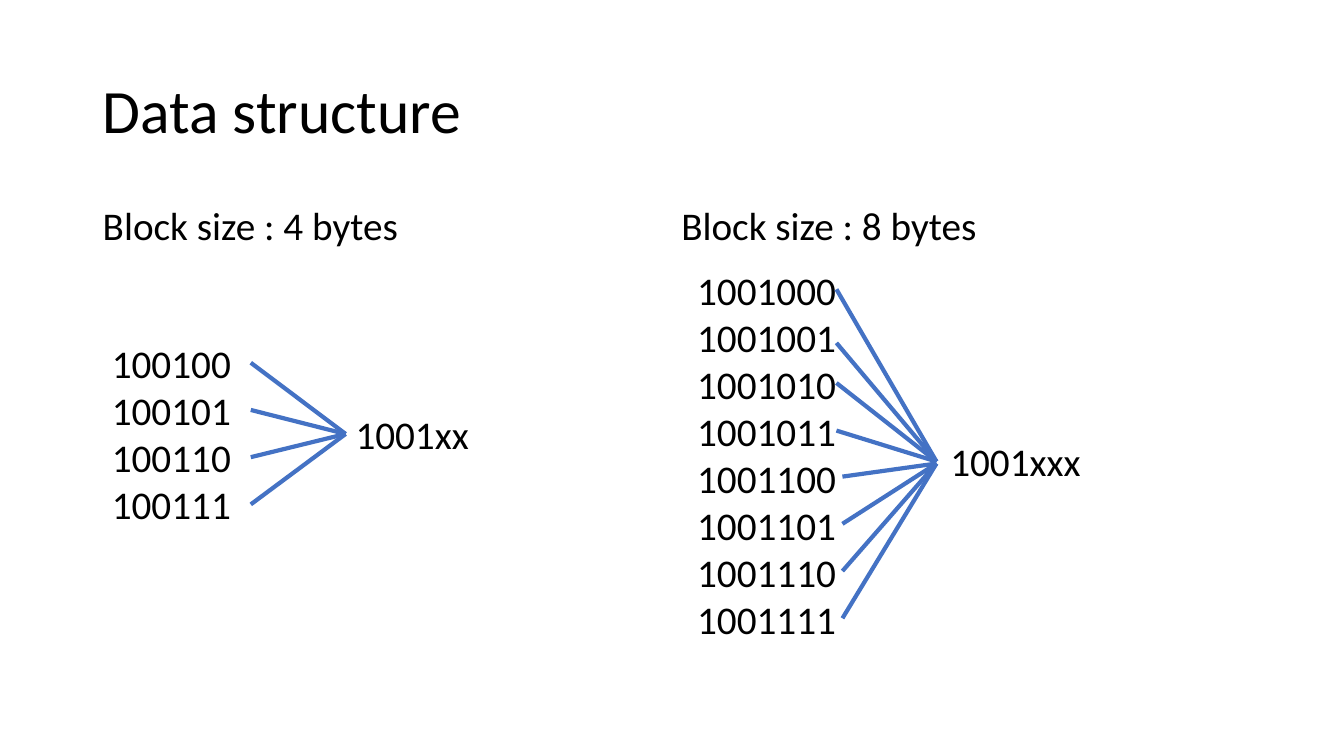
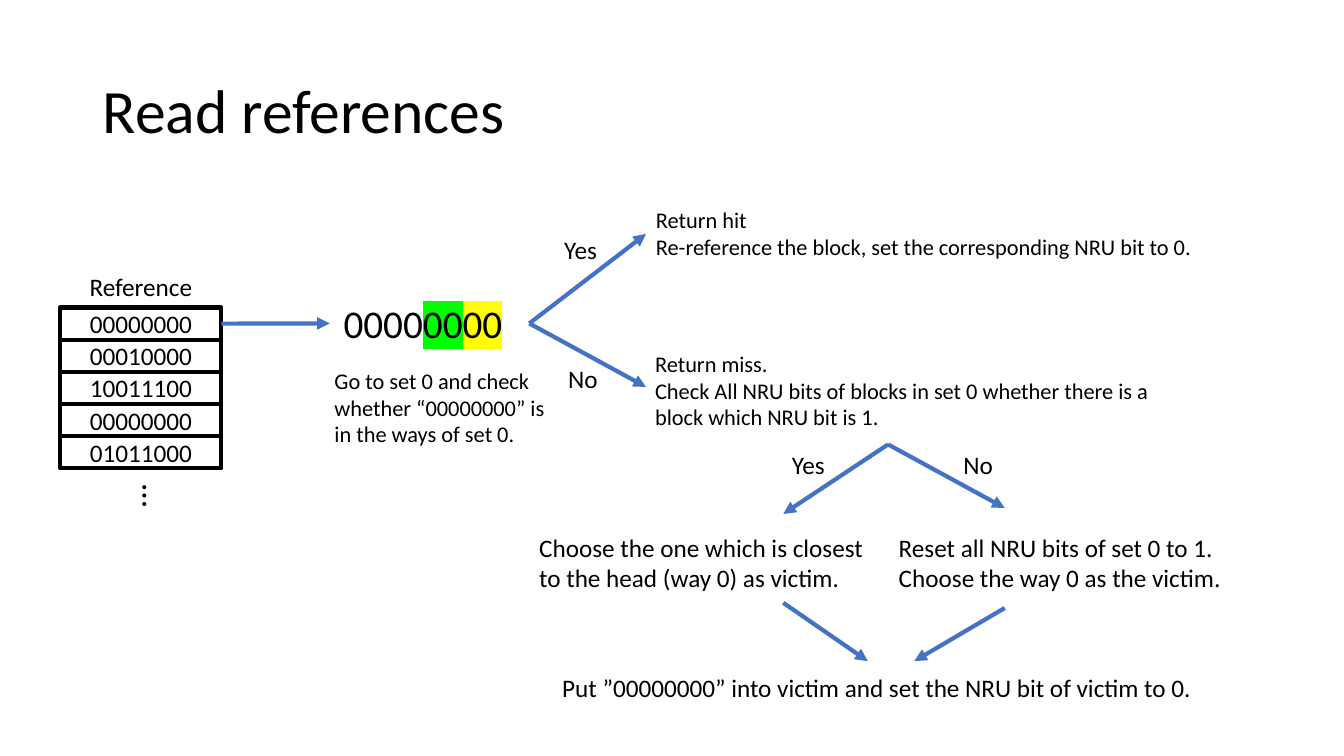
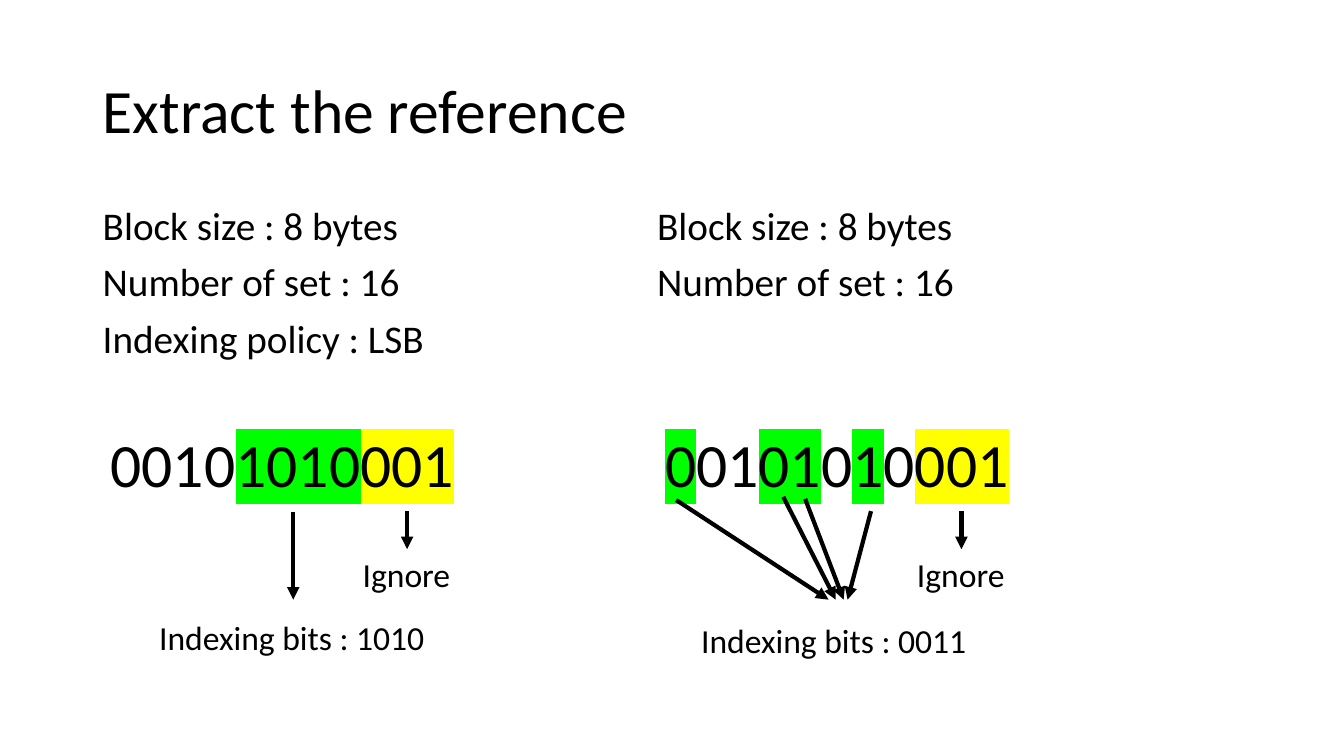
from lxml.etree import SubElement
from pptx import Presentation
from pptx.dml.color import RGBColor
from pptx.enum.shapes import MSO_CONNECTOR, MSO_SHAPE
from pptx.enum.text import MSO_ANCHOR, MSO_AUTO_SIZE, PP_ALIGN
from pptx.oxml.ns import qn
from pptx.util import Cm, Pt

THEME = {
    "font": "Calibri", "ink": "000000", "accent": "4472C4",
    "index": "00FF00", "ignore": "FFFF00",
    "title": 44, "body": 28, "caption": 24, "label": 18, "note": 16,
    "line": 3,
}
TITLE_BOX = (2.34, 1.02, 29.21, 3.68)
BODY_FORMAT = {"line_spacing": 0.9, "space_before": Pt(10)}


def write(slide, box, lines, size, wrap=False, outlined=False,
          anchor=MSO_ANCHOR.TOP, **paragraph_format):
    """Write lines in a box; a line is a string or a list of (text, highlight)."""
    area = [Cm(length) for length in box]
    if outlined:
        holder = slide.shapes.add_shape(MSO_SHAPE.RECTANGLE, *area)
        holder.shadow.inherit = False
        holder.fill.background()
        holder.line.color.rgb = RGBColor.from_string(THEME["ink"])
        holder.line.width = Pt(THEME["line"])
    else:
        holder = slide.shapes.add_textbox(*area)
    frame = holder.text_frame
    fit = MSO_AUTO_SIZE.NONE if wrap or outlined else MSO_AUTO_SIZE.SHAPE_TO_FIT_TEXT
    frame_format = {"word_wrap": wrap, "auto_size": fit, "vertical_anchor": anchor}
    for name, value in frame_format.items():
        setattr(frame, name, value)

    for number, line in enumerate(lines):
        paragraph = frame.paragraphs[0] if number == 0 else frame.add_paragraph()
        for name, value in paragraph_format.items():
            setattr(paragraph, name, value)
        for text, highlight in [(line, None)] if isinstance(line, str) else line:
            run = paragraph.add_run()
            run.text = text
            for name, value in {"name": THEME["font"], "size": Pt(THEME[size])}.items():
                setattr(run.font, name, value)
            run.font.color.rgb = RGBColor.from_string(THEME["ink"])
            if highlight:
                properties = run.font._element
                mark = SubElement(properties, qn("a:highlight"))
                SubElement(mark, qn("a:srgbClr"), val=THEME[highlight])
                properties.find(qn("a:solidFill")).addnext(mark)
    return holder


def link(slide, start, end, color="accent", arrow=True):
    """Draw a straight line from start to end, with an arrowhead if asked."""
    points = [Cm(length) for length in (*start, *end)]
    connector = slide.shapes.add_connector(MSO_CONNECTOR.STRAIGHT, *points)
    connector.line.color.rgb = RGBColor.from_string(THEME[color])
    connector.line.width = Pt(THEME["line"])
    if arrow:
        SubElement(connector.line._get_or_add_ln(), qn("a:tailEnd"), type="triangle")
    SubElement(connector._element.spPr, qn("a:effectLst"))
    return connector


deck = Presentation()
deck.slide_width, deck.slide_height = Cm(33.87), Cm(19.05)

# Slides with their shared title style
structure, reading, extraction = [
    deck.slides.add_slide(deck.slide_layouts[6]) for _ in range(3)
]
titles = {
    "Data structure": structure,
    "Read references": reading,
    "Extract the reference": extraction,
}
for title, slide in titles.items():
    write(slide, TITLE_BOX, [title], "title", wrap=True,
          anchor=MSO_ANCHOR.MIDDLE, line_spacing=0.9)

# Data structure: block sizes
for left, size in [(2.34, 4), (16.92, 8)]:
    write(structure, (left, 5.08, 10.8, 1.6), [f"Block size : {size} bytes"],
          "body", wrap=True, **BODY_FORMAT)

# Data structure: addresses that share one block
write(structure, (2.57, 8.43, 3.56, 5.05),
      [f"1001{offset:02b}" for offset in range(4)], "body")
write(structure, (17.32, 6.58, 4.06, 9.83),
      [f"1001{offset:03b}" for offset in range(8)], "body")
small_block = write(structure, (8.71, 10.21, 3.4, 1.45), ["1001xx"], "body")
write(structure, (23.7, 10.9, 3.84, 1.45), ["1001xxx"], "body")

for row in range(4):
    ray = link(structure, (6.32, 9.14 + 1.19 * row), (8.71, 10.94), arrow=False)
    ray.end_connect(small_block, 1)
for top in (7.29, 8.64, 9.65, 10.85):
    link(structure, (21.08, top), (23.6, 11.63), arrow=False)
for row in range(4):
    link(structure, (21.23, 12.01 + 1.19 * row), (23.6, 11.68), arrow=False)

# Read references: list of references
write(reading, (2.01, 6.71, 3.12, 1.02), ["Reference"], "label")
references = ["00000000", "00010000", "10011100", "00000000", "01011000"]
reference_rows = [
    write(reading, (1.52, 7.75 + 0.81 * row, 4.06, 0.81), [reference], "label",
          outlined=True, anchor=MSO_ANCHOR.MIDDLE, alignment=PP_ALIGN.CENTER)
    for row, reference in enumerate(references)
]
more = write(reading, (3.02, 11.96, 1.55, 0.84), ["…"], "caption")
more.text_frame._txBody.bodyPr.set("vert", "eaVert")

# Read references: the reference being looked up
lookup = link(reading, (5.58, 8.15), (8.31, 8.15))
lookup.begin_connect(reference_rows[0], 3)
write(reading, (8.41, 7.42, 4.57, 1.45),
      [[("0000", None), ("00", "index"), ("00", "ignore")]], "body")
write(reading, (8.18, 9.12, 5.94, 2.31),
      ["Go to set 0 and check whether “00000000” is in the ways of set 0."],
      "note", wrap=True)

# Read references: outcomes
hit = write(reading, (16.28, 5.08, 14.2, 1.63),
            ["Return hit",
             "Re-reference the block, set the corresponding NRU bit to 0."], "note")
write(reading, (16.26, 8.69, 14.05, 2.31),
      ["Return miss.",
       "Check All NRU bits of blocks in set 0 whether there is a block which NRU bit is 1."],
      "note", wrap=True)
write(reading, (13.34, 13.28, 9.04, 1.8),
      ["Choose the one which is closest to the head (way 0) as victim."],
      "label", wrap=True)
write(reading, (22.4, 13.28, 8.74, 1.8),
      ["Reset all NRU bits of set 0 to 1.", "Choose the way 0 as the victim."], "label")
write(reading, (13.92, 16.81, 16.56, 1.02),
      ["Put ”00000000” into victim and set the NRU bit of victim to 0."], "label")

# Read references: decisions
answers = [("Yes", 13.97, 5.77), ("No", 14.07, 9.02),
           ("Yes", 19.71, 11.2), ("No", 24.03, 11.2)]
for answer, left, top in answers:
    write(reading, (left, top, 1.35 if answer == "Yes" else 1.27, 1.02),
          [answer], "label")
link(reading, (13.34, 8.15), (16.28, 5.89)).end_connect(hit, 1)
for start, end in [((13.34, 8.15), (16.28, 9.75)),
                   ((22.38, 11.2), (25.32, 12.8)),
                   ((22.38, 11.2), (19.74, 12.95)),
                   ((19.74, 15.19), (21.87, 16.66)),
                   ((25.32, 15.32), (23.04, 16.66))]:
    link(reading, start, end)

# Extract the reference: one column per indexing choice
settings = ["Block size : 8 bytes", "Number of set : 16"]
columns = [
    {"settings": settings + ["Indexing policy : LSB"],
     "bits": [("0010", None), ("1010", "index"), ("001", "ignore")],
     "result": "Indexing bits : 1010", "result_at": (3.76, 15.42),
     "arrows": [((7.39, 12.9), 7.39)]},
    {"settings": settings,
     "bits": [("0", "index"), ("01", None), ("01", "index"), ("0", None),
              ("1", "index"), ("0", None), ("001", "ignore")],
     "result": "Indexing bits : 0011", "result_at": (17.42, 15.49),
     "arrows": [((21.95, 12.88), 21.36), ((20.29, 12.57), 21.26),
                ((19.74, 12.52), 21.06), ((17.04, 12.6), 20.88)]},
]
for number, column in enumerate(columns):
    shift = 13.97 * number
    write(extraction, (2.34 + shift, 5.08, 10.8, 4.5), column["settings"],
          "body", wrap=True, **BODY_FORMAT)
    write(extraction, (2.54 + shift, 10.61, 10.8, 2.2), [column["bits"]],
          "title", wrap=True)
    ignored = write(extraction, (8.89 + shift, 13.84, 2.74, 1.27), ["Ignore"], "caption")
    drop = link(extraction, (10.26 + shift, 12.88), (10.26 + shift, 13.84), "ink")
    drop.end_connect(ignored, 0)
    write(extraction, (*column["result_at"], 7.24, 1.27), [column["result"]], "caption")
    for start, target in column["arrows"]:
        link(extraction, start, (target, 15.11), "ink")

deck.save("out.pptx")
